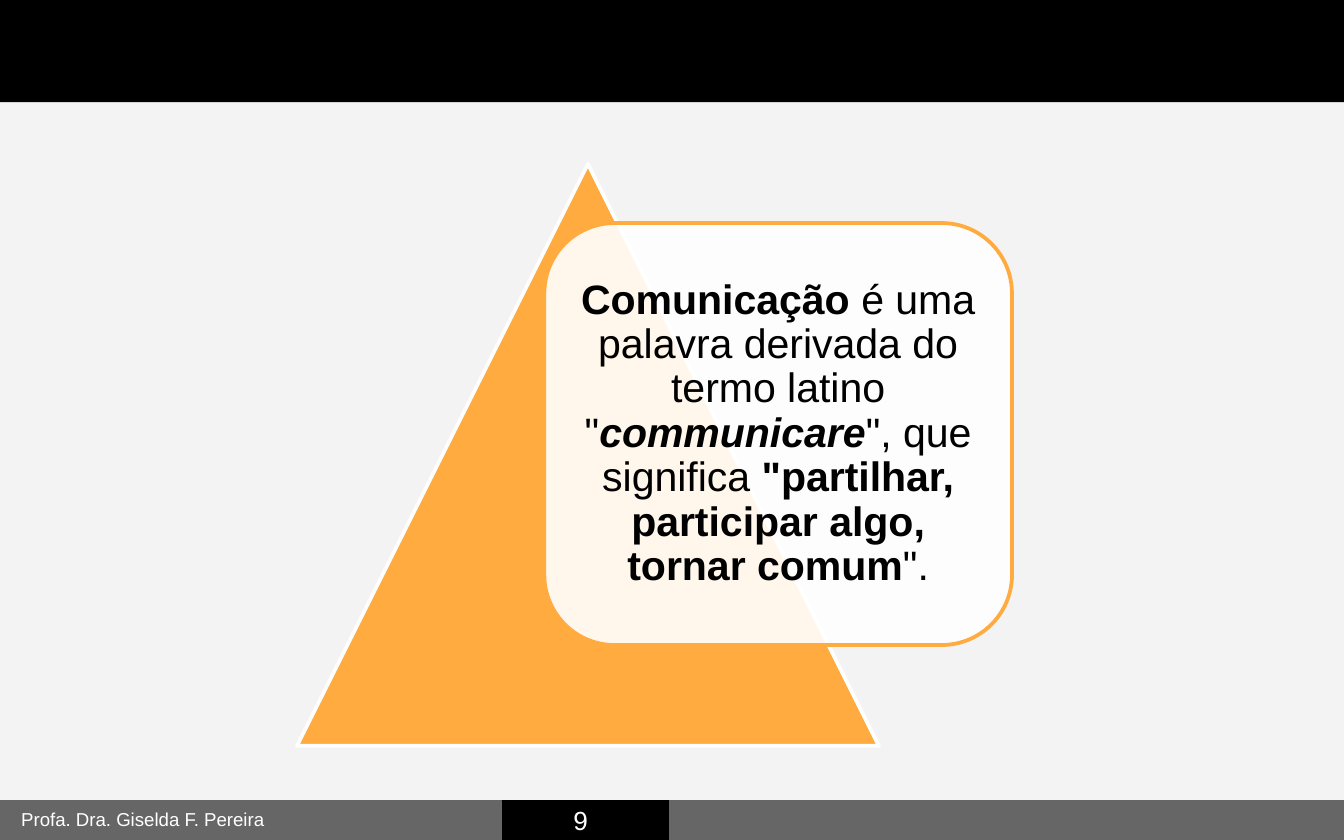
from lxml import etree
from pptx import Presentation
from pptx import util as u
from pptx.dml.color import RGBColor
from pptx.enum import shapes, text
from pptx.oxml.ns import qn

WIDTH, HEIGHT = 10, 6.25
FOOT_TOP, FOOT_H = 5.96, 0.29
BLACK, GRAY, WHITE, ORANGE = "000000", "666666", "FFFFFF", "FFAB40"
SHAPE = shapes.MSO_SHAPE
ALIGN = text.PP_ALIGN
ANCHOR = text.MSO_ANCHOR


def rgb(color):
    """Turn a hex string into a colour."""
    return RGBColor.from_string(color)


def add_shape(s, kind, box, fill, line=None, width=0.75, opacity=100):
    """Add a filled preset shape, outlined if a line colour is given."""
    sp = s.shapes.add_shape(kind, *map(u.Inches, box))
    sp.shadow.inherit = False
    sp.fill.solid()
    sp.fill.fore_color.rgb = rgb(fill)
    if line:
        sp.line.color.rgb = rgb(line)
        sp.line.width = u.Pt(width)
    else:
        sp.line.fill.background()
    if opacity < 100:
        color = sp.fill._xPr.find(qn("a:solidFill"))[0]
        etree.SubElement(color, qn("a:alpha"), val=str(opacity * 1000))
    return sp


def write(sp, runs, size, color, align=ALIGN.LEFT, anchor=ANCHOR.TOP, inset=0.1, spacing=1.0):
    """Write one paragraph of (text, bold, italic) runs into a shape."""
    tf = sp.text_frame
    tf.word_wrap = True
    tf.vertical_anchor = anchor
    tf.margin_left = tf.margin_right = u.Inches(inset)
    tf.margin_top = tf.margin_bottom = u.Inches(inset)
    p = tf.paragraphs[0]
    p.alignment = align
    p.line_spacing = spacing
    for words, bold, italic in runs:
        r = p.add_run()
        r.text = words
        r.font.name = "Arial"
        r.font.size = u.Pt(size)
        r.font.bold, r.font.italic = bold, italic
        r.font.color.rgb = rgb(color)


def add_text(s, words, box, **style):
    """Add a text box with one plain run."""
    sp = s.shapes.add_textbox(*map(u.Inches, box))
    write(sp, [(words, False, False)], **style)


def add_bars(s):
    """Draw the header band and the footer bands."""
    add_shape(s, SHAPE.RECTANGLE, (0, 0, WIDTH, 0.76), BLACK)
    for left, width, color in ((0, WIDTH, BLACK), (0, 3.73, GRAY), (4.98, 5.02, GRAY)):
        add_shape(s, SHAPE.RECTANGLE, (left, FOOT_TOP, width, FOOT_H), color, color)


def add_definition(s):
    """Draw the triangle and the definition card over it."""
    add_shape(s, SHAPE.ISOSCELES_TRIANGLE, (2.21, 1.22, 4.33, 4.33), ORANGE, WHITE, 2)
    card = add_shape(s, SHAPE.ROUNDED_RECTANGLE, (4.05, 1.66, 3.48, 3.14), WHITE, ORANGE, 2, 90)
    runs = [
        ("Comunicação ", True, False),
        ("é uma palavra derivada do termo latino \"", False, False),
        ("communicare", True, True),
        ("\", que significa ", False, False),
        ("\"partilhar, participar algo, tornar comum", True, False),
        ("\".", False, False),
    ]
    write(card, runs, 22, BLACK, ALIGN.CENTER, ANCHOR.MIDDLE, 0.09, 0.9)


def main():
    """Build and save the slide."""
    prs = Presentation()
    prs.slide_width, prs.slide_height = u.Inches(WIDTH), u.Inches(HEIGHT)
    s = prs.slides.add_slide(prs.slide_layouts[6])
    s.background.fill.solid()
    s.background.fill.fore_color.rgb = rgb("F3F3F3")
    add_bars(s)
    add_text(s, "Profa. Dra. Giselda F. Pereira", (0.06, 5.93, 3.04, 0.35), size=10, color=WHITE)
    add_definition(s)
    add_text(s, "9", (4.02, 5.93, 0.6, 0.35), size=14, color=WHITE,
             align=ALIGN.CENTER, anchor=ANCHOR.MIDDLE)
    prs.save("out.pptx")


if __name__ == "__main__":
    main()
